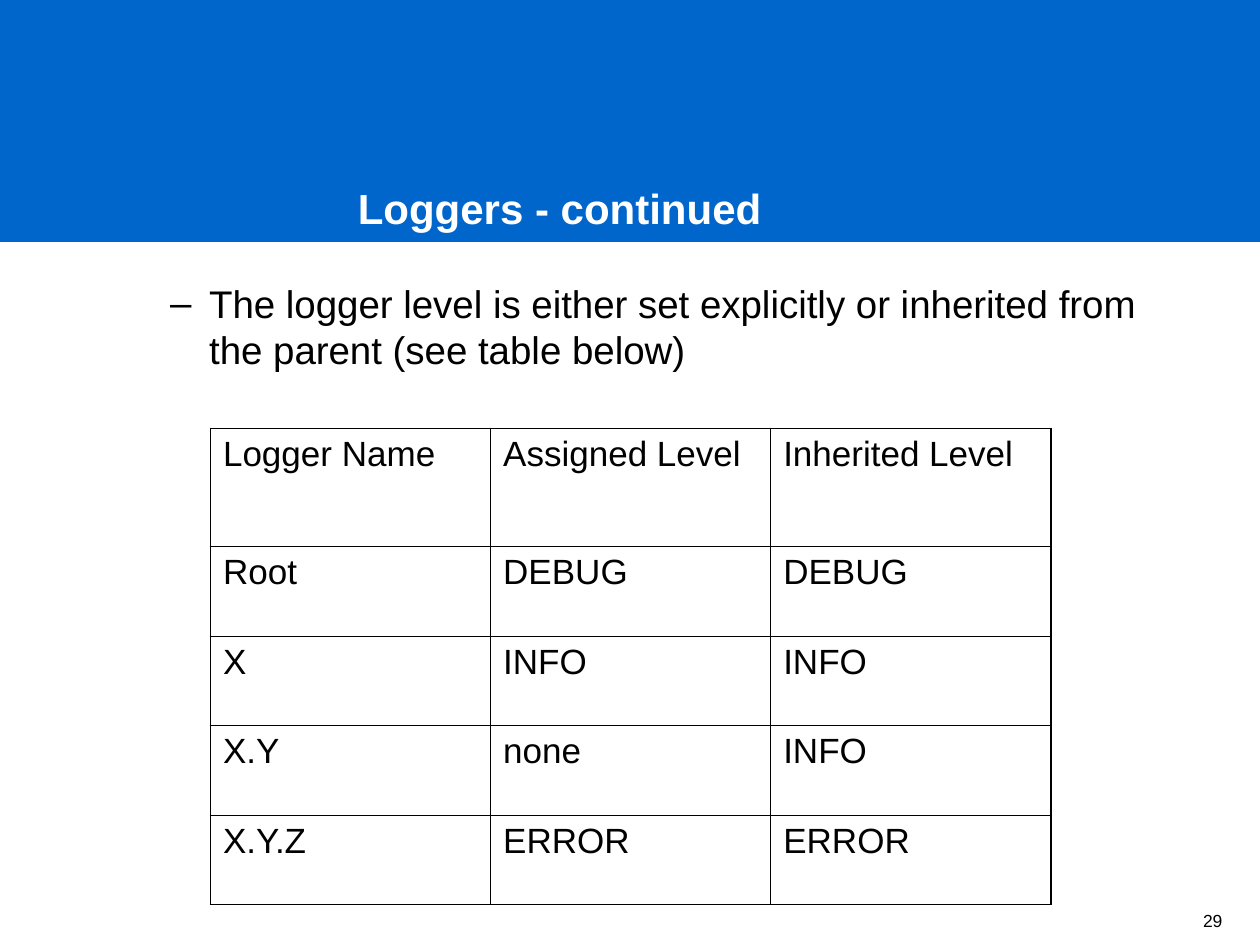
from dataclasses import dataclass

from lxml.etree import SubElement
from pptx import Presentation
from pptx.dml.color import RGBColor
from pptx.enum.shapes import MSO_SHAPE as Shape
from pptx.enum.text import MSO_ANCHOR as Anchor, MSO_AUTO_SIZE as AutoSize, PP_ALIGN as Align
from pptx.oxml.ns import qn
from pptx.util import Inches, Pt

BLUE = RGBColor(0x00, 0x66, 0xCC)
BLACK = RGBColor(0x00, 0x00, 0x00)
WHITE = RGBColor(0xFF, 0xFF, 0xFF)

THICK, THIN = Pt(1.08), Pt(0.45)
FRAME = {
    "margin_left": Inches(0.1),
    "margin_right": Inches(0.1),
    "margin_top": Inches(0.05),
    "margin_bottom": Inches(0.05),
}
ROWS = [
    ("Logger Name", "Assigned Level", "Inherited Level"),
    ("Root", "DEBUG", "DEBUG"),
    ("X", "INFO", "INFO"),
    ("X.Y", "none", "INFO"),
    ("X.Y.Z", "ERROR", "ERROR"),
]
HEADER_HEIGHT, ROW_HEIGHT = Inches(0.94), Inches(0.71)


@dataclass
class Area:
    left: float
    top: float
    width: float
    height: float

    def lengths(self) -> list:
        return [Inches(side) for side in (self.left, self.top, self.width, self.height)]


@dataclass
class Style:
    size: float
    color: RGBColor = BLACK
    bold: bool = False
    align: Align = Align.LEFT
    anchor: Anchor = Anchor.TOP
    line_spacing: float = 1.0


def apply(target, values: dict) -> None:
    for name, value in values.items():
        setattr(target, name, value)


def write(frame, text: str, style: Style):
    apply(frame, FRAME | {"word_wrap": True, "vertical_anchor": style.anchor})
    frame.text = text
    para = frame.paragraphs[0]
    apply(para, {
        "alignment": style.align,
        "line_spacing": style.line_spacing,
        "space_before": Pt(0),
    })
    span = para.runs[0]
    apply(span.font, {"name": "Arial", "size": Pt(style.size), "bold": style.bold})
    span.font.color.rgb = style.color
    return para


def fill_placeholder(box, area: Area, text: str, style: Style):
    apply(box, dict(zip(("left", "top", "width", "height"), area.lengths())))
    box.text_frame.auto_size = AutoSize.NONE
    return write(box.text_frame, text, style)


def add_dash_bullet(para) -> None:
    para.level = 1
    props = para._p.get_or_add_pPr()
    props.set("marL", str(Inches(0.81)))
    props.set("indent", str(Inches(-0.31)))
    color = SubElement(props, qn("a:buClr"))
    SubElement(color, qn("a:srgbClr"), val=str(BLACK))
    SubElement(props, qn("a:buFont"), typeface="Arial")
    SubElement(props, qn("a:buChar"), char="–")


def set_borders(cell, widths: dict) -> None:
    props = cell._tc.get_or_add_tcPr()
    for index, (side, width) in enumerate(widths.items()):
        line = props.makeelement(qn(f"a:{side}"), {"w": str(width)})
        fill = SubElement(line, qn("a:solidFill"))
        SubElement(fill, qn("a:srgbClr"), val=str(BLACK))
        props.insert(index, line)


def add_banner(page, area: Area) -> None:
    banner = page.shapes.add_shape(Shape.RECTANGLE, *area.lengths())
    banner.shadow.inherit = False
    banner.fill.solid()
    banner.fill.fore_color.rgb = BLUE
    banner.line.fill.background()
    page.shapes._spTree.insert(2, banner._element)


def add_level_table(page, area: Area, style: Style) -> None:
    last_row, last_column = len(ROWS) - 1, len(ROWS[0]) - 1
    table = page.shapes.add_table(len(ROWS), len(ROWS[0]), *area.lengths()).table
    apply(table, {"first_row": False, "horz_banding": False})
    for r, texts in enumerate(ROWS):
        table.rows[r].height = ROW_HEIGHT if r else HEADER_HEIGHT
        for c, text in enumerate(texts):
            cell = table.cell(r, c)
            apply(cell, FRAME)
            write(cell.text_frame, text, style)
            cell.fill.background()
            set_borders(cell, {
                "lnL": THICK if c == 0 else THIN,
                "lnR": THICK if c == last_column else THIN,
                "lnT": THICK if r == 0 else THIN,
                "lnB": THICK if r == last_row else THIN,
            })


def main() -> None:
    deck = Presentation()
    apply(deck, {"slide_width": Inches(10), "slide_height": Inches(7.5)})
    page = deck.slides.add_slide(deck.slide_layouts[1])

    add_banner(page, Area(0, 0, 10, 1.92))
    fill_placeholder(
        page.shapes.title, Area(2.74, 0.65, 4.98, 1.25), "Loggers - continued",
        Style(24, WHITE, bold=True, anchor=Anchor.BOTTOM),
    )
    point = fill_placeholder(
        page.placeholders[1], Area(0.75, 2.17, 8.5, 1),
        "The logger level is either set explicitly or inherited from "
        "the parent (see table below)",
        Style(22),
    )
    add_dash_bullet(point)
    add_level_table(page, Area(1.67, 3.4, 6.67, 3.78), Style(20))

    number = page.shapes.add_textbox(*Area(7.95, 7.14, 1.85, 0.3).lengths())
    write(number.text_frame, "29",
          Style(10, align=Align.RIGHT, anchor=Anchor.BOTTOM, line_spacing=0.8))

    deck.save("out.pptx")


if __name__ == "__main__":
    main()
